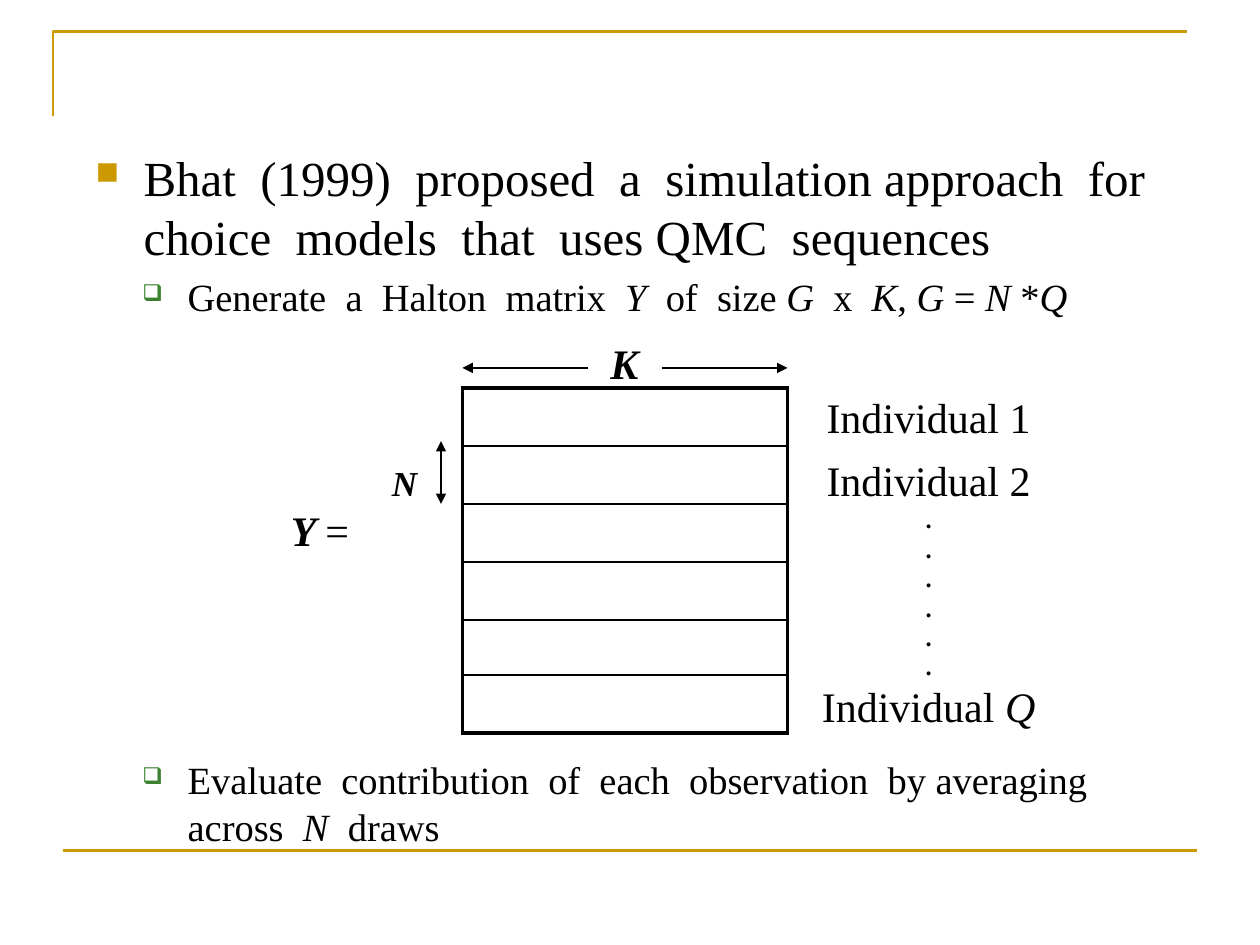
"""Build the slide on simulation with a Halton matrix."""
from lxml import etree
from pptx import Presentation
from pptx.dml.color import RGBColor
from pptx.enum.shapes import MSO_CONNECTOR
from pptx.enum.text import MSO_ANCHOR, MSO_AUTO_SIZE, PP_ALIGN
from pptx.oxml.ns import qn
from pptx.util import Emu, Inches, Pt

LINE = MSO_CONNECTOR.STRAIGHT
MIDDLE, TOP = MSO_ANCHOR.MIDDLE, MSO_ANCHOR.TOP
CENTER, LEFT = PP_ALIGN.CENTER, PP_ALIGN.LEFT
FIXED = MSO_AUTO_SIZE.NONE
GOLD = RGBColor(0xCC, 0x99, 0x00)
GREEN = RGBColor(0x3B, 0x81, 0x2F)
BLACK = RGBColor(0, 0, 0)
FONT = "Times New Roman"

MAIN = {"mark": "n", "tint": GOLD, "share": 65, "left": 0.38, "hang": 0.38}
SUB = {"mark": "q", "tint": GREEN, "share": 60, "left": 0.73, "hang": 0.36}

BODY = [
    ([("Bhat  (1999)  proposed  a  simulation approach  for  choice  models"
       "  that  uses QMC  sequences", "")], 28, 0, MAIN),
    ([("Generate  a  Halton  matrix  ", ""), ("Y", "i"), ("  of  size ", ""),
      ("G", "i"), ("  x  ", ""), ("K", "i"), (", ", ""), ("G ", "i"),
      ("= ", ""), ("N ", "i"), ("*", ""), ("Q", "i")], 22, 4.4, SUB),
    ([("Evaluate  contribution  of  each  observation  by averaging  across",
       ""), ("  N", "i"), ("  draws", "")], 22, 250, SUB),
]
NAMES = [
    ([("Individual 1", "")], 24, 0, None),
    ([("Individual 2", "")], 24, 7, None),
    *[([(".", "b")], 14, 0, None)] * 6,
    ([("Individual ", ""), ("Q", "i")], 24, 0, None),
]
LABELS = [
    ((4.58, 2.67, 0.75, 0.42), [([("K", "bi")], 24, 0, None)]),
    ((3, 3.57, 0.42, 0.52), [([("N", "bi")], 20, 0, None)]),
    ((2.09, 3.83, 0.9, 0.75), [([("Y ", "bi"), ("=", "")], 24, 0, None)]),
    ((6.33, 3.08, 2.08, 2.75), NAMES),
]
ARROWS = [
    ((5.25, 2.92, 6.25, 2.92), ["tailEnd"]),
    ((4.67, 2.92, 3.67, 2.92), ["tailEnd"]),
    ((3.5, 3.5, 3.5, 4), ["headEnd", "tailEnd"]),
]
GRID = (3.67, 3.08, 2.58)
ROWS = [0.46] * 4 + [0.44, 0.46]
CORNER = [(0.42, 0.92), (0.42, 0.25), (9.42, 0.25)]
RULE = (0.5, 6.75, 9.5, 6.75)


def put(item, **values):
    for key, value in values.items():
        setattr(item, key, value)


def add(node, tag, **values):
    return etree.SubElement(node, qn(tag), values)


def place(shape, box):
    put(shape, **dict(zip(("left", "top", "width", "height"),
                          map(Inches, box))))


def write(frame, paras, align):
    for n, (runs, size, gap, mark) in enumerate(paras):
        para = frame.add_paragraph() if n else frame.paragraphs[0]
        if mark:
            props = para._p.get_or_add_pPr()
            props.set("marL", str(Inches(mark["left"])))
            props.set("indent", str(-Inches(mark["hang"])))
            add(add(props, "a:buClr"), "a:srgbClr", val=str(mark["tint"]))
            add(props, "a:buSzPct", val=str(mark["share"] * 1000))
            add(props, "a:buFont", typeface="Wingdings", charset="2")
            add(props, "a:buChar", char=mark["mark"])
        put(para, alignment=align, space_before=Pt(gap))
        for text, style in runs:
            run = para.add_run()
            run.text = text
            put(run.font, name=FONT, size=Pt(size),
                bold="b" in style, italic="i" in style)
            run.font.color.rgb = BLACK


def draw(shapes, ends, color, width, heads=()):
    line = shapes.add_connector(LINE, *map(Inches, ends))
    line.line.color.rgb = color
    line.line.width = Pt(width)
    for head in heads:
        add(line.line._get_or_add_ln(), "a:" + head, type="triangle")
    add(line._element.spPr, "a:effectLst")


def frame_page(shapes):
    first, *rest = [tuple(map(Inches, point)) for point in CORNER]
    path = shapes.build_freeform(*first)
    path.add_line_segments(rest, close=False)
    shape = path.convert_to_shape()
    shape.shadow.inherit = False
    shape.fill.background()
    shape.line.color.rgb = GOLD
    shape.line.width = Pt(1.5)
    draw(shapes, RULE, GOLD, 1.5)


def add_grid(shapes):
    box = [Inches(x) for x in (*GRID, sum(ROWS))]
    table = shapes.add_table(len(ROWS), 1, *box).table
    put(table, first_row=False, horz_banding=False)
    last = len(ROWS) - 1
    for n, size in enumerate(ROWS):
        table.rows[n].height = Inches(size)
        cell = table.cell(n, 0)
        props = cell._tc.get_or_add_tcPr()
        edges = {"L": 2.25, "R": 2.25, "T": 1 if n else 2.25,
                 "B": 1 if n < last else 2.25}
        for side, width in edges.items():
            edge = add(props, "a:ln" + side, w=str(Pt(width)))
            add(add(edge, "a:solidFill"), "a:srgbClr", val=str(BLACK))
        cell.fill.background()


def main():
    deck = Presentation()
    put(deck, slide_width=Inches(10), slide_height=Inches(7.5))
    slide = deck.slides.add_slide(deck.slide_layouts[1])
    shapes = slide.shapes
    title = shapes.title._element
    title.getparent().remove(title)
    body = slide.placeholders[1]
    place(body, (0.66, 1.12, 8.75, 5.75))
    put(body.text_frame, word_wrap=True, auto_size=FIXED, vertical_anchor=TOP)
    write(body.text_frame, BODY, LEFT)
    frame_page(shapes)
    add_grid(shapes)
    for ends, heads in ARROWS:
        draw(shapes, ends, BLACK, 0.75, heads)
    for box, paras in LABELS:
        label = shapes.add_textbox(Emu(0), Emu(0), Emu(0), Emu(0))
        place(label, box)
        put(label.text_frame, word_wrap=False, vertical_anchor=MIDDLE)
        write(label.text_frame, paras, CENTER)
    deck.save("out.pptx")


if __name__ == "__main__":
    main()
